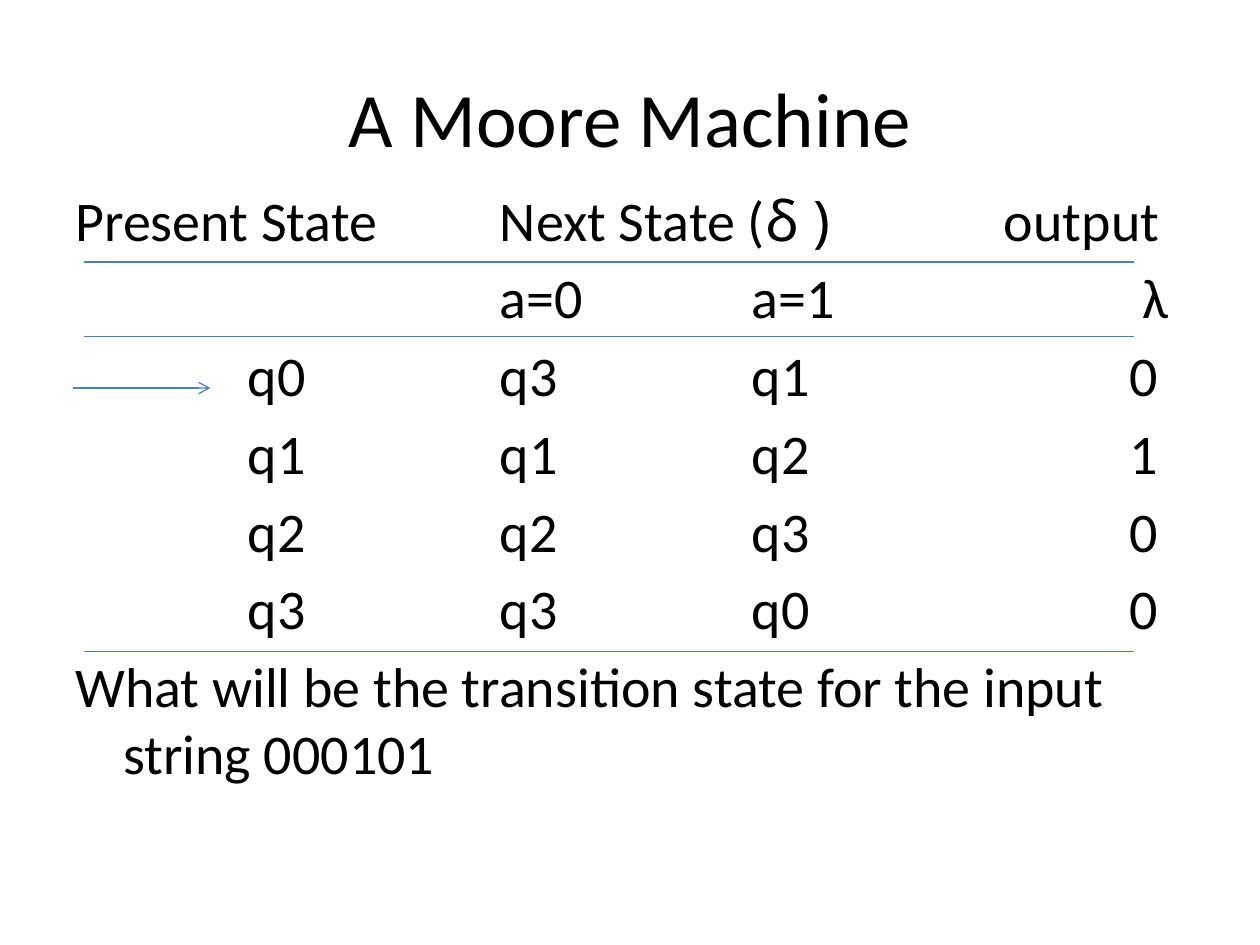
from dataclasses import dataclass

from lxml.etree import SubElement
from pptx import Presentation
from pptx.dml.color import RGBColor
from pptx.enum.shapes import MSO_CONNECTOR as Connector
from pptx.enum.text import MSO_ANCHOR as Anchor, PP_ALIGN as Align
from pptx.oxml.ns import qn
from pptx.util import Inches, Pt

FONT, SYMBOL_FONT = "Calibri", "Noto Sans"
BLACK, BLUE = "000000", "4B7EBC"
LEFT, WIDTH = 0.5, 9
HANGING_INDENT = 0.38

# Column tab stops, measured from the text edge
STATE, NEXT_ZERO, NEXT_ONE, OUTPUT, VALUE = 1.37, 3.37, 5.37, 7.37, 8.37


@dataclass
class Row:
    """One line of the transition table: text runs and tab stops."""
    runs: list[str]
    stops: tuple[float, ...]


@dataclass
class Rule:
    """A horizontal line, with or without an arrowhead."""
    start: float
    end: float
    y: float
    arrow: bool = False


TRANSITIONS = [
    ("q0", "q3", "q1", "0"),
    ("q1", "q1", "q2", "1"),
    ("q2", "q2", "q3", "0"),
    ("q3", "q3", "q0", "0"),
]
ROWS = [
    Row(["Present State\tNext State (", "δ )", "\toutput"], (NEXT_ZERO, OUTPUT)),
    Row(["\ta=0\ta=1\t λ"], (NEXT_ZERO, NEXT_ONE, VALUE)),
] + [
    Row(["\t" + "\t".join(cells)], (STATE, NEXT_ZERO, NEXT_ONE, VALUE))
    for cells in TRANSITIONS
]
QUESTION = "What will be the transition state for the input string 000101"
RULES = [Rule(0.67, 9, y) for y in (2.08, 2.67, 5.17)]
START_ARROW = Rule(0.58, 1.67, 3.08, arrow=True)


def color(value: str) -> RGBColor:
    return RGBColor.from_string(value)


def style(paragraph, size: float) -> None:
    paragraph.font.name = FONT
    paragraph.font.size = Pt(size)
    paragraph.font.color.rgb = color(BLACK)


def add_tab_stops(paragraph, stops: tuple[float, ...]) -> None:
    tab_list = SubElement(paragraph._p.get_or_add_pPr(), qn("a:tabLst"))
    for stop in stops:
        SubElement(tab_list, qn("a:tab"), pos=str(Inches(stop)), algn="l")


def fill_row(paragraph, row: Row) -> None:
    add_tab_stops(paragraph, row.stops)
    for text in row.runs:
        run = paragraph.add_run()
        run.text = text
        if "δ" in text:
            run.font.name = SYMBOL_FONT
    style(paragraph, 32)


def draw_rule(slide, rule: Rule) -> None:
    line = slide.shapes.add_connector(
        Connector.STRAIGHT,
        Inches(rule.start), Inches(rule.y), Inches(rule.end), Inches(rule.y))
    line.line.color.rgb = color(BLUE)
    line.line.width = Pt(0.75)
    if rule.arrow:
        SubElement(line.line._get_or_add_ln(), qn("a:tailEnd"), type="arrow")
    SubElement(line._element.spPr, qn("a:effectLst"))


def main() -> None:
    presentation = Presentation()
    presentation.slide_width, presentation.slide_height = Inches(10), Inches(7.5)
    slide = presentation.slides.add_slide(presentation.slide_layouts[5])

    # Title
    title = slide.shapes.title
    title.left, title.top = Inches(LEFT), Inches(0.3)
    title.width, title.height = Inches(WIDTH), Inches(1.25)
    title.text_frame.text = "A Moore Machine"
    title.text_frame.vertical_anchor = Anchor.MIDDLE
    heading = title.text_frame.paragraphs[0]
    heading.alignment = Align.CENTER
    style(heading, 44)

    # Transition table, set on tab stops
    body = slide.shapes.add_textbox(
        Inches(LEFT), Inches(1.42), Inches(WIDTH), Inches(5.67))
    frame = body.text_frame
    frame.word_wrap = True
    for index, row in enumerate(ROWS):
        paragraph = frame.add_paragraph() if index else frame.paragraphs[0]
        paragraph.space_before = Pt(6 if index else 0)
        fill_row(paragraph, row)

    # Question with a hanging indent
    question = frame.add_paragraph()
    question.text = QUESTION
    question.space_before = Pt(6)
    properties = question._p.get_or_add_pPr()
    properties.set("marL", str(Inches(HANGING_INDENT)))
    properties.set("indent", str(-Inches(HANGING_INDENT)))
    style(question, 32)

    # Table rules and start-state arrow
    for rule in RULES + [START_ARROW]:
        draw_rule(slide, rule)

    presentation.save("out.pptx")


if __name__ == "__main__":
    main()
